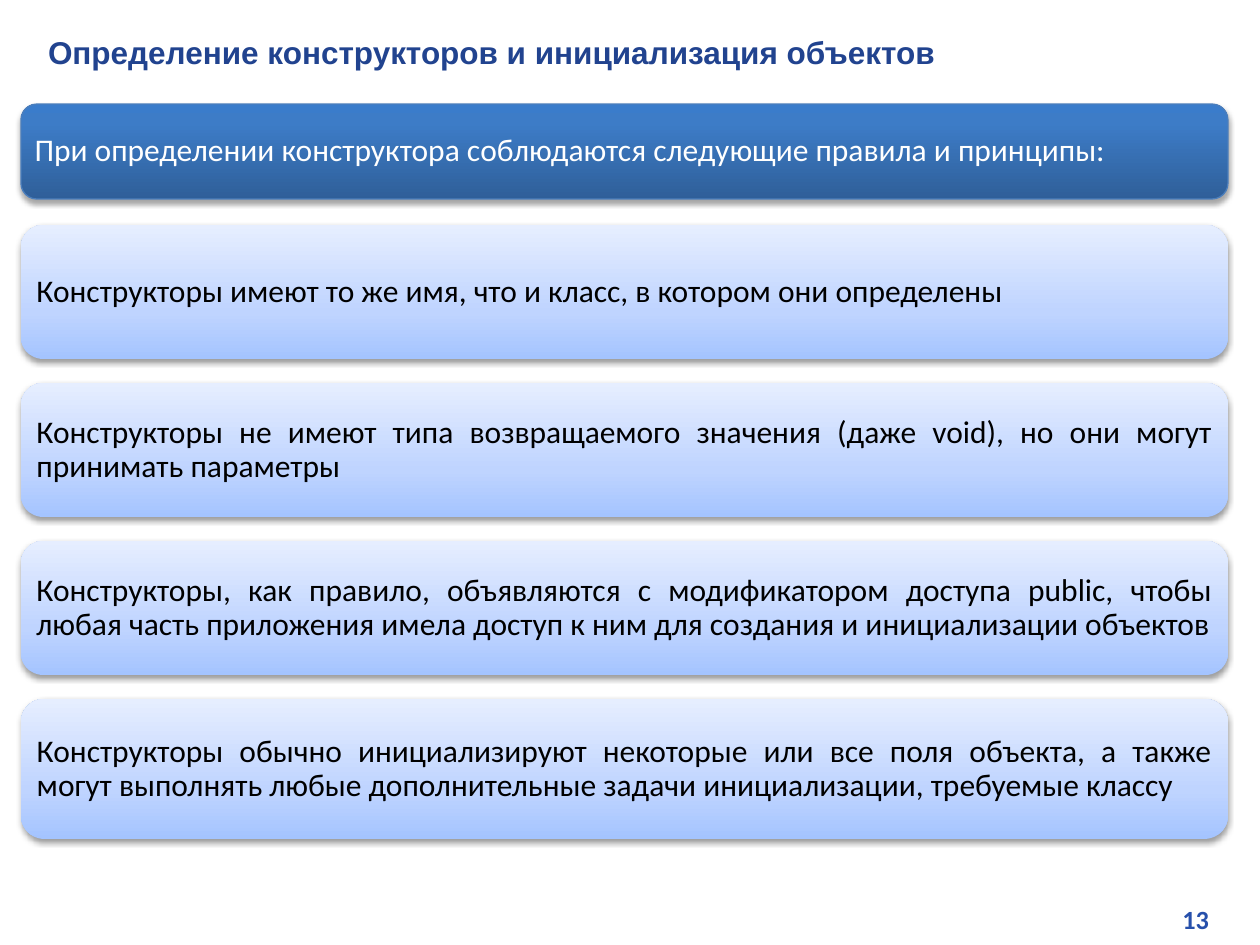
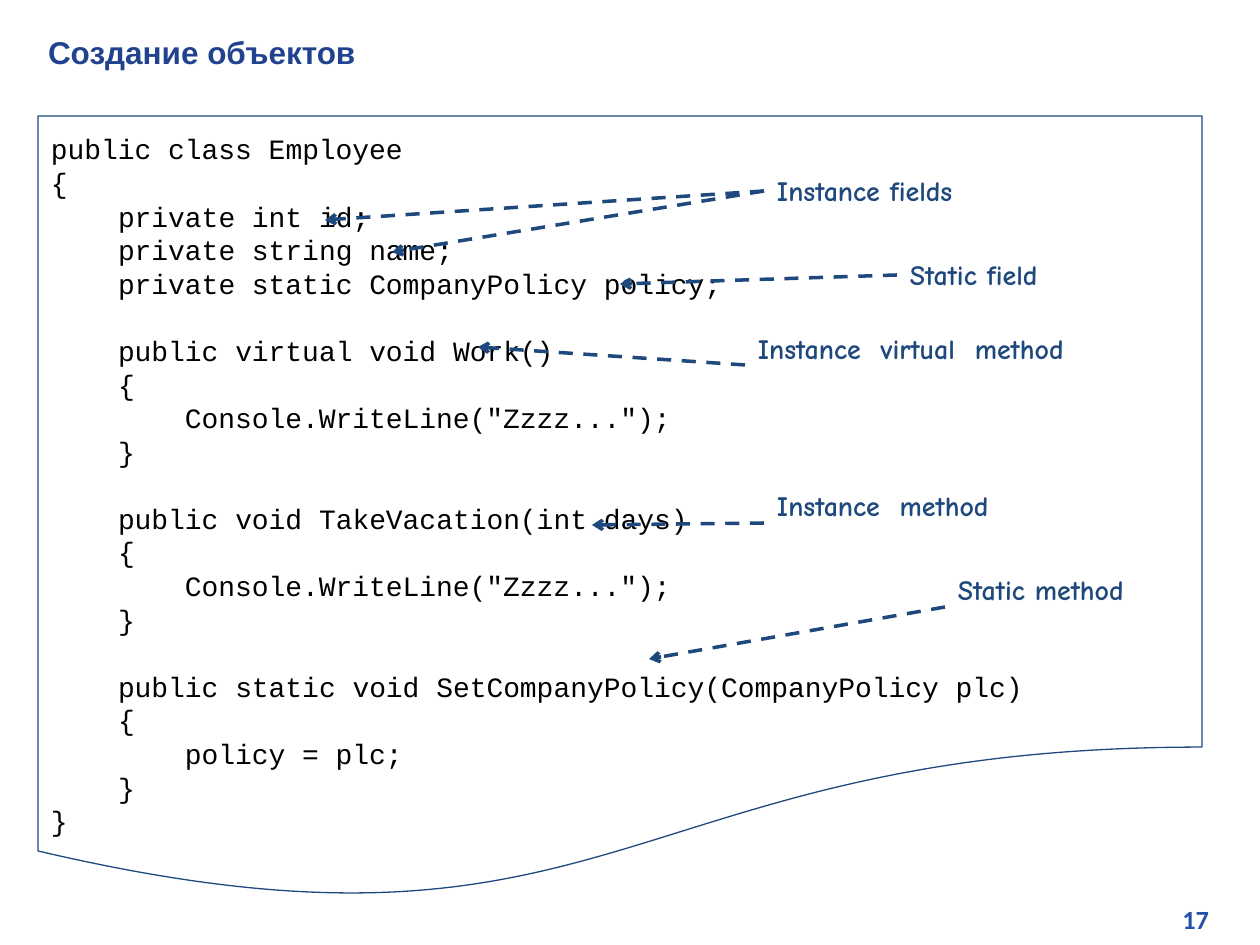
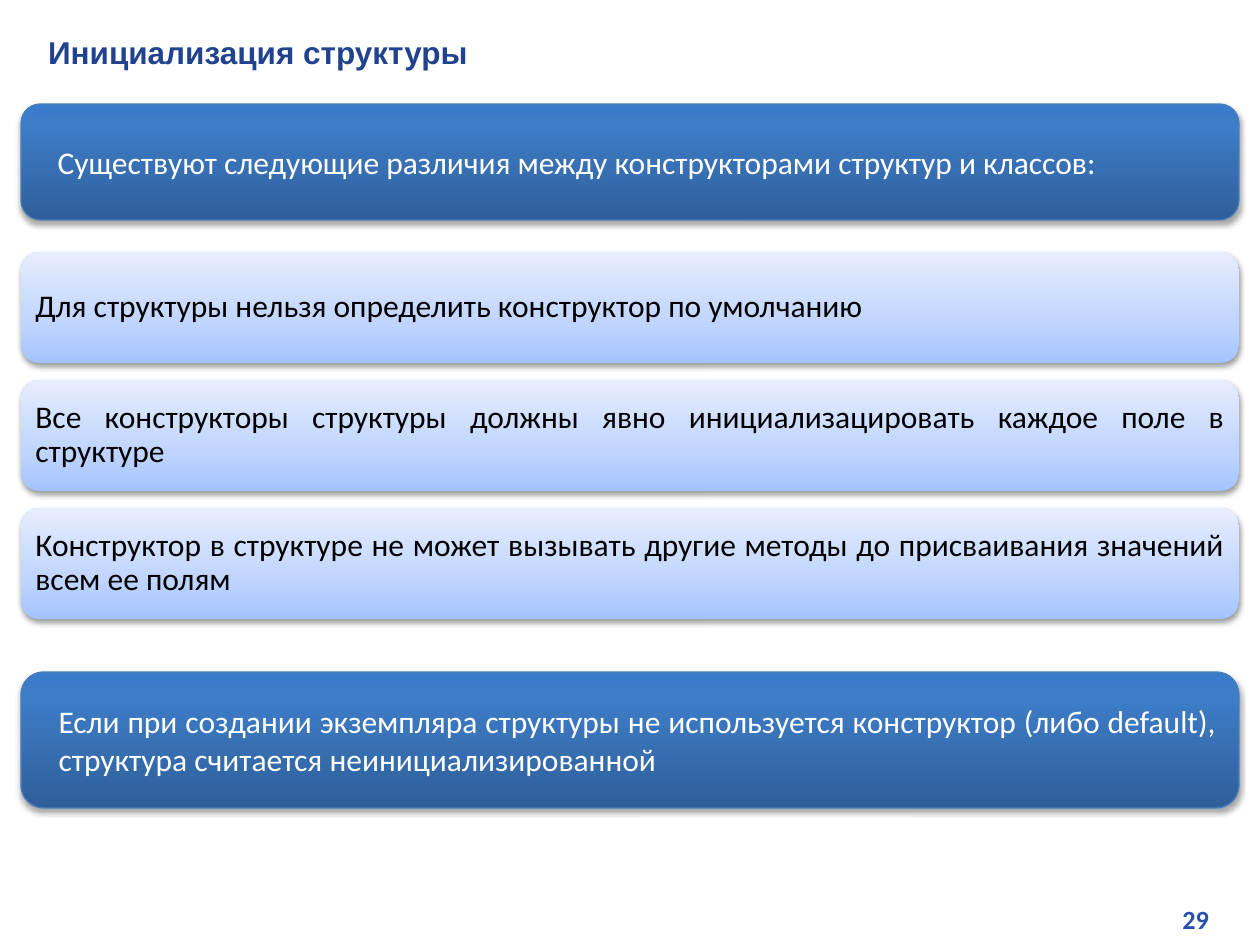
from lxml import etree
from pptx import Presentation
from pptx import util as u
from pptx.dml.color import RGBColor
from pptx.enum import dml, shapes, text
from pptx.oxml.ns import qn

# Content
RULES = {
    "title": "Определение конструкторов и инициализация объектов",
    "page": "13",
    "width": 1207,
    "bars": [
        (104, 95, "При определении конструктора соблюдаются следующие правила и принципы:"),
    ],
    "bar_fit": dict(inset=(9, 9), lead=0.9),
    "top": 225,
    "gap": 24,
    "cards": [
        (134, "Конструкторы имеют то же имя, что и класс, в котором они определены"),
        (134, "Конструкторы не имеют типа возвращаемого значения (даже void), но они могут "
              "принимать параметры"),
        (134, "Конструкторы, как правило, объявляются с модификатором доступа public, чтобы "
              "любая часть приложения имела доступ к ним для создания и инициализации объектов"),
        (140, "Конструкторы обычно инициализируют некоторые или все поля объекта, а также "
              "могут выполнять любые дополнительные задачи инициализации, требуемые классу"),
    ],
}
STRUCT = {
    "title": "Инициализация структуры",
    "page": "29",
    "width": 1218,
    "bars": [
        (104, 116, "Существуют следующие различия между конструкторами структур и классов:"),
        (672, 136, "Если при создании экземпляра структуры не используется конструктор "
                   "(либо default), структура считается неинициализированной"),
    ],
    "bar_fit": dict(inset=(16, 8), indent=15),
    "top": 252,
    "gap": 17,
    "cards": [
        (111, "Для структуры нельзя определить конструктор по умолчанию"),
        (111, "Все конструкторы структуры должны явно инициализацировать каждое поле в структуре"),
        (111, "Конструктор в структуре не может вызывать другие методы до присваивания значений "
              "всем ее полям"),
    ],
}

# Code blocks, each a list of (indent level, line)
CODE = [
    [(0, "public class Employee"), (0, "{"), (1, "private int id;"),
     (1, "private string name;"), (1, "private static CompanyPolicy policy;")],
    [(1, "public virtual void Work()"), (1, "{"),
     (2, 'Console.WriteLine("Zzzz...");'), (1, "}")],
    [(1, "public void TakeVacation(int days)"), (1, "{"),
     (2, 'Console.WriteLine("Zzzz...");'), (1, "}")],
    [(1, "public static void SetCompanyPolicy(CompanyPolicy plc)"), (1, "{"),
     (2, "policy = plc;"), (1, "}"), (0, "}")],
]
# Label, its box, and the points its arrows reach
LABELS = [
    ("Instance fields", (764, 168, 271, 46), [(325, 220), (392, 252)]),
    ("Static field", (897, 252, 212, 46), [(620, 284)]),
    ("Instance  virtual  method", (745, 325, 401, 80), [(478, 347)]),
    ("Instance  method", (764, 483, 286, 80), [(592, 525)]),
    ("Static method", (945, 567, 239, 80), [(649, 659)]),
]

# Shared style
COLORS = {"title": "21438F", "page": "2750AB", "ink": "000000", "white": "FFFFFF",
          "navy": "1F497D", "edge": "4B7EBC"}
BAR = {"stops": [(0, "2F5F99"), (80, "3D7CC7"), (100, "3A7CCB")],
       "edge": "edge", "font": "white", "dist": 1.8, "alpha": 35}
CARD = {"stops": [(0, "A4C4FF"), (35, "BFD4FF"), (100, "E6EEFF")],
        "edge": None, "font": "ink", "dist": 1.6, "alpha": 38}
LEFT = 21
CODE_LEAD = 19.2   # points per code line
CODE_TAB = 67      # px per indent level
ALIGN = text.PP_ALIGN
ANCHOR = text.MSO_ANCHOR


def px(n):
    return u.Emu(round(n * 914400 / 126))


def rgb(name):
    return RGBColor.from_string(COLORS[name])


def frame(shape, inset=(13, 6), anchor=ANCHOR.TOP):
    tf = shape.text_frame
    tf.word_wrap = True
    tf.auto_size = text.MSO_AUTO_SIZE.NONE
    tf.vertical_anchor = anchor
    tf.margin_left = tf.margin_right = px(inset[0])
    tf.margin_top = tf.margin_bottom = px(inset[1])
    return tf


def write(para, words, size, font, color, bold=False, align=ALIGN.LEFT, indent=0):
    para.alignment = align
    props = para._p.get_or_add_pPr()
    props.set("marL", str(px(indent)))
    props.set("indent", "0")
    run = para.add_run()
    run.text = words
    run.font.size = u.Pt(size)
    run.font.name = font
    run.font.bold = bold
    run.font.color.rgb = rgb(color)


def box(slide, at, words, size, font, color, inset=(13, 6), align=ALIGN.LEFT):
    shape = slide.shapes.add_textbox(*map(px, at))
    write(frame(shape, inset).paragraphs[0], words, size, font, color, True, align)
    return shape


def start(deck, title, page):
    slide = deck.slides.add_slide(deck.slide_layouts[5])
    head = slide.shapes.title
    head.left, head.top, head.width, head.height = map(px, (32, 25, 1202, 50))
    write(frame(head, (16, 8)).paragraphs[0], title, 18, "Arial", "title", True)
    box(slide, (958, 895, 267, 48), page, 15, "Calibri", "page", (16, 8), ALIGN.RIGHT)
    return slide


def color_node(parent, value):
    return etree.SubElement(parent, qn("a:srgbClr"), val=value)


def paint(shape, style):
    # Gradient running upwards
    shape.fill.gradient()
    shape.fill.gradient_angle = 90
    stops = shape._element.spPr.find(".//" + qn("a:gsLst"))
    for old in list(stops):
        stops.remove(old)
    for pos, value in style["stops"]:
        color_node(etree.SubElement(stops, qn("a:gs"), pos=str(pos * 1000)), value)
    # Outline
    if style["edge"]:
        shape.line.color.rgb = rgb(style["edge"])
        shape.line.width = u.Pt(0.75)
    else:
        shape.line.fill.background()
    # Soft shadow below
    shape.shadow.inherit = False
    effects = shape._element.spPr.find(qn("a:effectLst"))
    shade = etree.SubElement(effects, qn("a:outerShdw"), blurRad=str(u.Pt(3.1)),
                             dist=str(u.Pt(style["dist"])), dir="5400000", rotWithShape="0")
    etree.SubElement(color_node(shade, "000000"), qn("a:alpha"), val=str(style["alpha"] * 1000))


def panel(slide, at, words, style, inset=(9, 9), lead=None, indent=0):
    shape = slide.shapes.add_shape(shapes.MSO_SHAPE.ROUNDED_RECTANGLE, *map(px, at))
    paint(shape, style)
    para = frame(shape, inset, ANCHOR.MIDDLE).paragraphs[0]
    write(para, words, 18, "Calibri", style["font"], align=ALIGN.JUSTIFY, indent=indent)
    if lead:
        para.line_spacing = lead


def list_slide(deck, data):
    slide = start(deck, data["title"], data["page"])
    for top, high, words in data["bars"]:
        panel(slide, (LEFT, top, data["width"], high), words, BAR, **data["bar_fit"])
    top = data["top"]
    for high, words in data["cards"]:
        panel(slide, (LEFT, top, data["width"], high), words, CARD, lead=0.9)
        top += high + data["gap"]


def arrow(slide, label, end):
    line = slide.shapes.add_connector(shapes.MSO_CONNECTOR.STRAIGHT, 0, 0, *map(px, end))
    line.begin_connect(label, 1)
    line.line.color.rgb = rgb("navy")
    line.line.width = u.Pt(2)
    line.line.dash_style = dml.MSO_LINE.DASH
    etree.SubElement(line.line._get_or_add_ln(), qn("a:tailEnd"), type="arrow")
    etree.SubElement(line._element.spPr, qn("a:effectLst"))


def code_slide(deck):
    slide = start(deck, "Создание объектов", "17")
    # Code sheet
    sheet = slide.shapes.add_shape(shapes.MSO_SHAPE.FLOWCHART_DOCUMENT,
                                   *map(px, (38, 116, 1164, 787)))
    sheet.shadow.inherit = False
    sheet.fill.solid()
    sheet.fill.fore_color.rgb = rgb("white")
    sheet.line.color.rgb = rgb("navy")
    sheet.line.width = u.Pt(0.75)
    tf = frame(sheet, (13, 16))
    para = tf.paragraphs[0]
    for b, block in enumerate(CODE):
        for n, (level, words) in enumerate(block):
            if b or n:
                para = tf.add_paragraph()
            write(para, words, 16, "Courier New", "ink", indent=level * CODE_TAB)
            para.line_spacing = u.Pt(CODE_LEAD)
            if b and n == 0:
                para.space_before = u.Pt(CODE_LEAD)
    # Labels and their arrows
    for words, at, ends in LABELS:
        label = box(slide, at, words, 16, "Comic Neue", "navy")
        for end in ends:
            arrow(slide, label, end)


def main():
    deck = Presentation()
    deck.slide_width, deck.slide_height = px(1260), px(945)
    list_slide(deck, RULES)
    code_slide(deck)
    list_slide(deck, STRUCT)
    deck.save("out.pptx")


if __name__ == "__main__":
    main()
